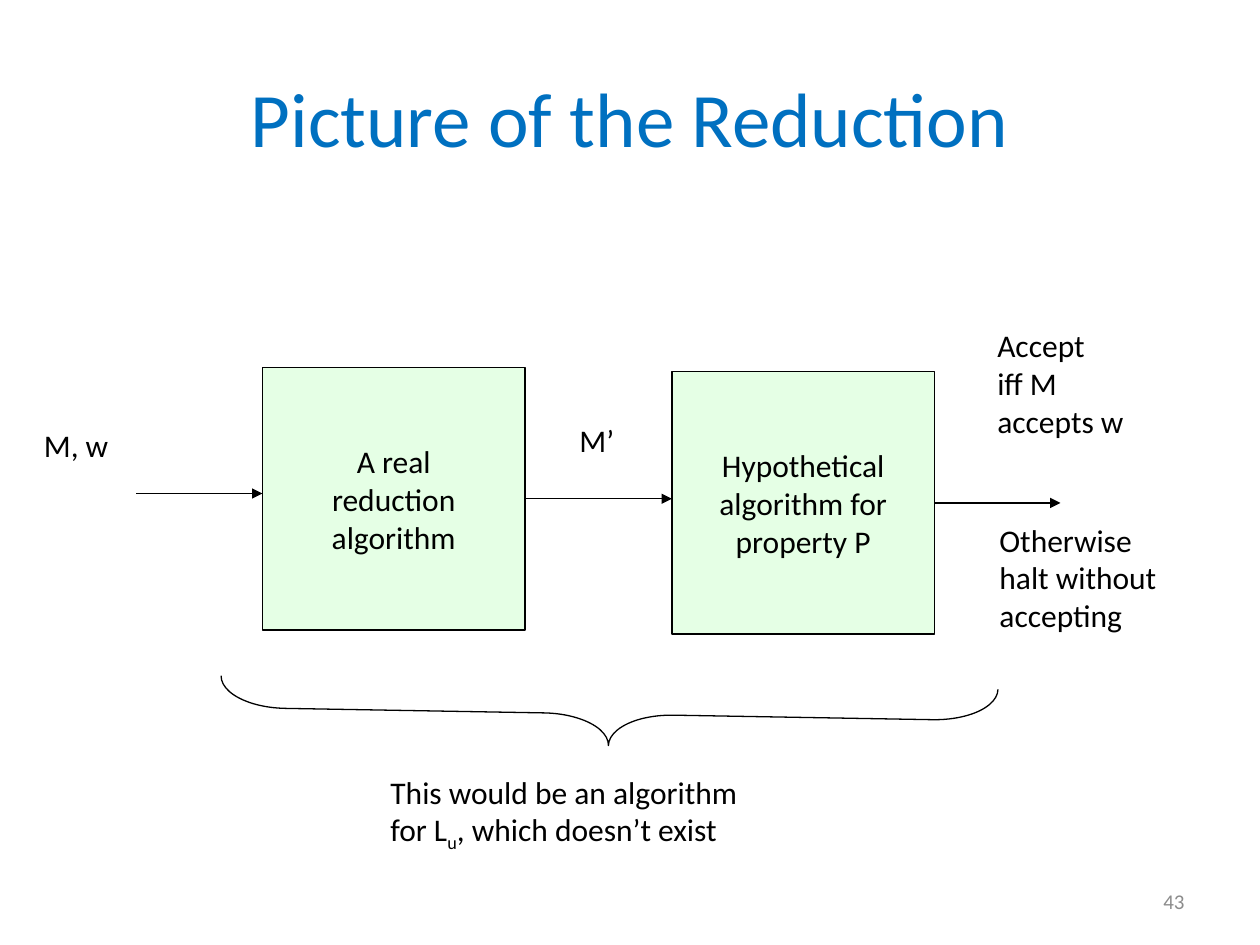
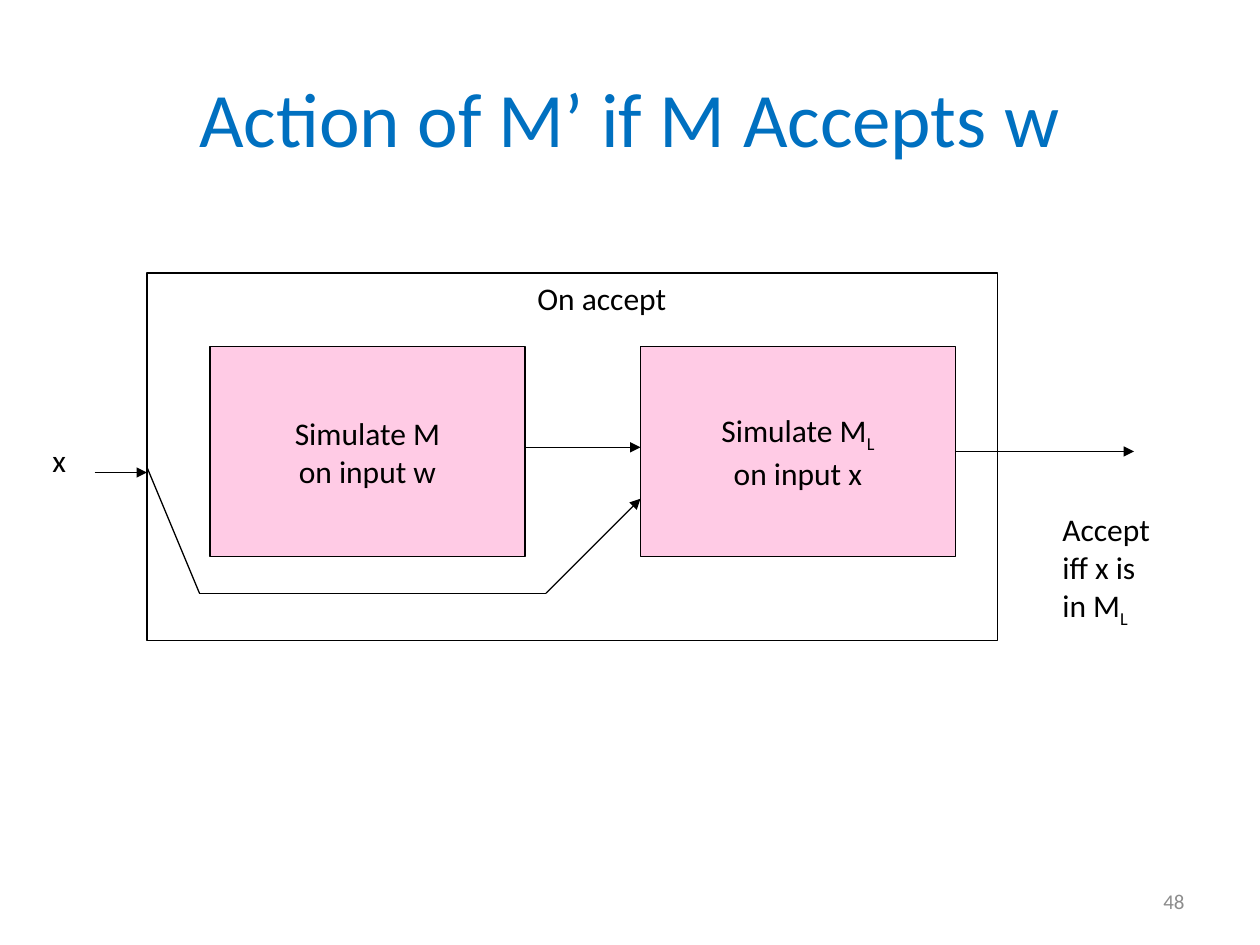
import itertools

import lxml.etree
import pptx
import pptx.dml.color
import pptx.enum.shapes
import pptx.enum.text
import pptx.oxml.ns
import pptx.util

COLORS = {"title": "0070C0", "ink": "000000", "number": "8C8C8C",
          "green": "CCFFCC", "pink": "FF99CC"}
FORMATS = {
    "title": {"name": "Calibri", "size": pptx.util.Pt(44)},
    "ink": {"name": "Calibri", "size": pptx.util.Pt(18)},
    "number": {"name": "Calibri", "size": pptx.util.Pt(12)},
}
COLS, ROWS = 120, 90
SHAPE = pptx.enum.shapes.MSO_SHAPE
ALIGN = pptx.enum.text.PP_ALIGN
ANCHOR = pptx.enum.text.MSO_ANCHOR
RIGHT = 3


def rgb(name):
    return pptx.dml.color.RGBColor.from_string(COLORS[name])


def add_xml(parent, tag, **attrs):
    return lxml.etree.SubElement(parent, pptx.oxml.ns.qn(tag), **attrs)


class Deck:
    """Draws styled elements on the current slide, placed on a grid of 120 by 90."""

    def __init__(self):
        self.prs = pptx.Presentation()
        self.prs.slide_width = pptx.util.Inches(10)
        self.prs.slide_height = pptx.util.Inches(7.5)
        self.s = None

    def grid(self, *cells):
        units = itertools.cycle((self.prs.slide_width / COLS,
                                 self.prs.slide_height / ROWS))
        return [round(cell * unit) for cell, unit in zip(cells, units)]

    def set_text(self, tf, text, style="ink", align=ALIGN.LEFT, anchor=ANCHOR.TOP):
        """Sets one paragraph per line; text between underscores is lowered."""
        tf.word_wrap = True
        tf.vertical_anchor = anchor
        for i, line in enumerate(text.split("\n")):
            p = tf.add_paragraph() if i else tf.paragraphs[0]
            p.alignment = align
            for j, part in enumerate(line.split("_")):
                if not part:
                    continue
                r = p.add_run()
                r.text = part
                for key, value in FORMATS[style].items():
                    setattr(r.font, key, value)
                r.font.color.rgb = rgb(style)
                if j % 2:
                    r.font._element.set("baseline", "-25000")

    def slide(self, title, number):
        self.s = self.prs.slides.add_slide(self.prs.slide_layouts[5])
        sp = self.s.shapes.title
        sp.left, sp.top, sp.width, sp.height = self.grid(6, 3.6, 108, 15)
        self.set_text(sp.text_frame, title, "title", ALIGN.CENTER, ANCHOR.MIDDLE)
        self.label(number, 86, 83.4, 28, 4.8, style="number",
                   align=ALIGN.RIGHT, anchor=ANCHOR.MIDDLE)

    def label(self, text, *at, **layout):
        sp = self.s.shapes.add_textbox(*self.grid(*at))
        self.set_text(sp.text_frame, text, **layout)

    def outline(self, sp):
        sp.line.color.rgb = rgb("ink")
        sp.line.width = pptx.util.Pt(0.75)

    def shape(self, kind, *at):
        sp = self.s.shapes.add_shape(kind, *self.grid(*at))
        sp.shadow.inherit = False
        sp.fill.background()
        self.outline(sp)
        return sp

    def box(self, text, color, *at):
        sp = self.shape(SHAPE.RECTANGLE, *at)
        sp.fill.solid()
        sp.fill.fore_color.rgb = rgb(color)
        fill = sp._element.spPr.find(".//" + pptx.oxml.ns.qn("a:srgbClr"))
        add_xml(fill, "a:alpha", val="50000")
        self.set_text(sp.text_frame, text, align=ALIGN.CENTER, anchor=ANCHOR.MIDDLE)
        return sp

    def brace(self, *at):
        sp = self.shape(SHAPE.LEFT_BRACE, *at)
        sp.rotation = 271
        sp.adjustments[0], sp.adjustments[1] = 1.03, 0.5

    def line(self, start, end, head=True, source=None):
        straight = pptx.enum.shapes.MSO_CONNECTOR.STRAIGHT
        sp = self.s.shapes.add_connector(straight, *self.grid(*start, *end))
        if source is not None:
            sp.begin_connect(source, RIGHT)
        self.outline(sp)
        spPr = sp._element.spPr
        if head:
            add_xml(spPr.find(pptx.oxml.ns.qn("a:ln")), "a:tailEnd", type="triangle")
        add_xml(spPr, "a:effectLst")

    def route(self, *points):
        for i, (start, end) in enumerate(itertools.pairwise(points), 2):
            self.line(start, end, head=i == len(points))


def draw_reduction(deck):
    deck.slide("Picture of the Reduction", "43")
    reduction = deck.box("A real\nreduction\nalgorithm", "green", 25, 35, 25, 25)
    deck.label("M, w", 3, 40, 11, 6)
    deck.line((13, 47), (25, 47))
    tester = deck.box("Hypothetical\nalgorithm for\nproperty P", "green",
                      64, 35.4, 25, 25)
    deck.line((50, 47.5), (64, 47.5), source=reduction)
    deck.label("M’", 54, 39.5, 6.4, 6)
    deck.line((89, 47.9), (101, 47.9), source=tester)
    deck.label("Accept\niff M\naccepts w", 93.8, 30.5, 20, 15.6)
    deck.label("Otherwise\nhalt without\naccepting", 94, 49, 23.4, 15.6)
    deck.brace(55, 31, 6, 74)
    deck.label("This would be an algorithm\nfor L_u_, which doesn’t exist",
               36, 73, 50.5, 10.8)


def draw_action(deck):
    deck.slide("Action of M’ if M Accepts w", "48")
    deck.box("Simulate M\non input w", "pink", 20, 33, 30, 20)
    deck.shape(SHAPE.RECTANGLE, 14, 26, 81, 35)
    deck.label("x", 3.8, 41.4, 4.5, 6)
    deck.line((9, 45), (14, 45))
    simulate_x = deck.box("Simulate M_L_\non input x", "pink", 61, 33, 30, 20)
    deck.label("On accept", 50, 26, 20, 6)
    deck.line((50, 42.6), (61, 42.6))
    deck.route((14, 44.5), (19, 56.5), (52, 56.5), (61, 47.5))
    deck.label("Accept\niff x is\nin M_L_", 100, 48, 14.2, 15.6)
    deck.line((91, 43), (108, 43), source=simulate_x)


def main():
    deck = Deck()
    draw_reduction(deck)
    draw_action(deck)
    deck.prs.save("out.pptx")


if __name__ == "__main__":
    main()
